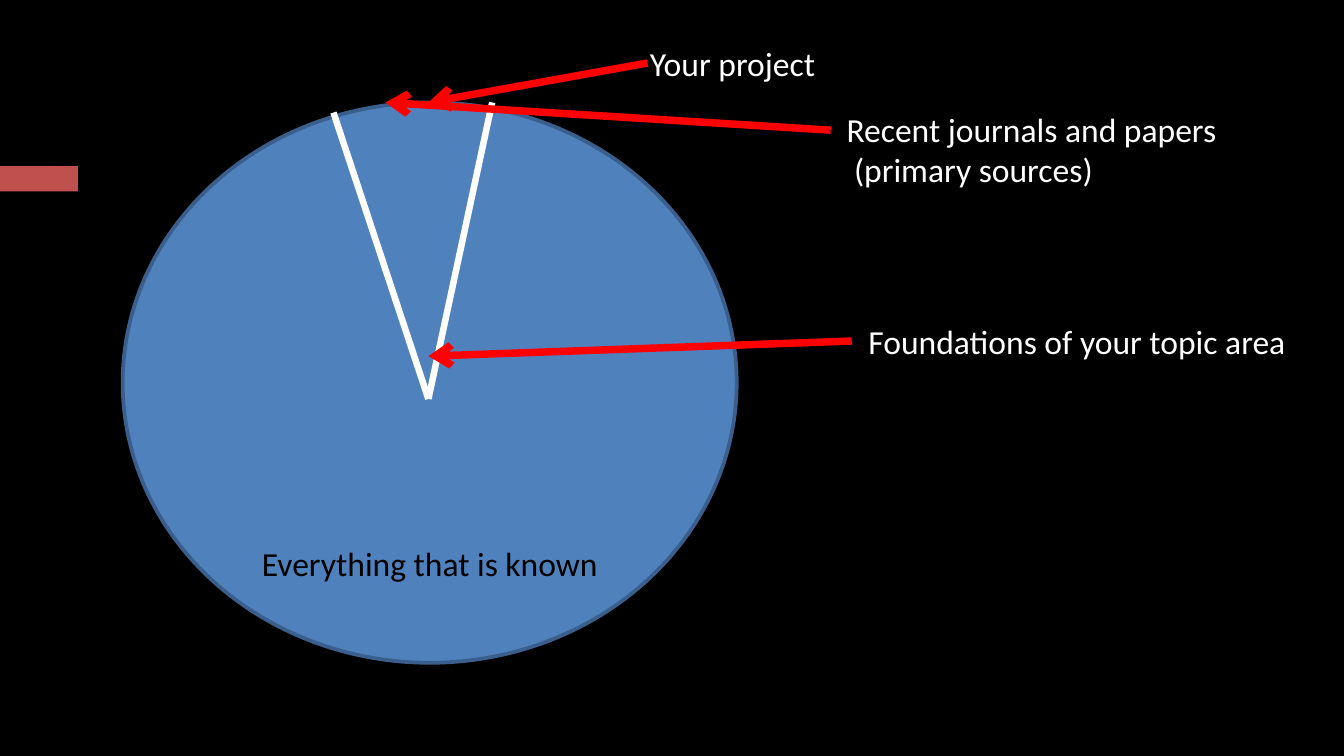
from typing import NamedTuple

from lxml.etree import SubElement
from pptx import Presentation
from pptx.dml.color import RGBColor
from pptx.enum.shapes import MSO_CONNECTOR as Link, MSO_SHAPE as Form
from pptx.oxml.ns import qn
from pptx.util import Emu, Pt

SCALE = 5715
HUB = (510, 475)
FONT = {"name": "Calibri", "size": Pt(18)}
WHITE, RED = "FFFFFF", "FF0000"


class Block(NamedTuple):
    form: int
    box: tuple[int, int, int, int]
    fill: str
    edge: str | None = None


class Label(NamedTuple):
    box: tuple[int, int, int, int]
    text: str
    color: str = WHITE
    wrap: bool = False


class Line(NamedTuple):
    start: tuple[int, int]
    end: tuple[int, int]
    color: str = RED
    width: float = 4
    arrow: bool = True


BLOCKS = [
    Block(Form.RECTANGLE, (0, 198, 93, 30), "C0504D"),
    Block(Form.OVAL, (146, 122, 731, 667), "4F81BD", "3A5F8C"),
]
SPOKES = [Line(HUB, end, WHITE, 3.5, False) for end in [(397, 134), (586, 122)]]
KNOWN = Label((296, 638, 579, 64), "Everything that is known", "000000", True)
NOTES = [
    (
        Label((1018, 374, 536, 64), "Foundations of your topic area"),
        Line((1014, 406), (510, 424)),
    ),
    (
        Label((992, 122, 474, 112), "Recent journals and papers\n (primary sources)"),
        Line((989, 155), (459, 122)),
    ),
    (
        Label((758, 43, 230, 64), "Your project"),
        Line((771, 75), (510, 122)),
    ),
]


def px(*sizes: int) -> list[Emu]:
    return [Emu(size * SCALE) for size in sizes]


def paint(fill, color: str) -> None:
    fill.solid()
    fill.fore_color.rgb = RGBColor.from_string(color)


def draw_block(slide, block: Block) -> None:
    shape = slide.shapes.add_shape(block.form, *px(*block.box))
    shape.shadow.inherit = False
    paint(shape.fill, block.fill)
    if block.edge:
        paint(shape.line.fill, block.edge)
        shape.line.width = Pt(2)
    else:
        shape.line.fill.background()


def draw_label(slide, label: Label) -> None:
    frame = slide.shapes.add_textbox(*px(*label.box)).text_frame
    frame.word_wrap = label.wrap
    frame.text = label.text
    for para in frame.paragraphs:
        for run in para.runs:
            for name, value in FONT.items():
                setattr(run.font, name, value)
            paint(run.font.fill, label.color)


def draw_line(slide, line: Line) -> None:
    link = slide.shapes.add_connector(Link.STRAIGHT, *px(*line.start, *line.end))
    paint(link.line.fill, line.color)
    link.line.width = Pt(line.width)
    props = link._element.spPr
    if line.arrow:
        SubElement(props.get_or_add_ln(), qn("a:tailEnd"), type="arrow")
    SubElement(props, qn("a:effectLst"))


def main() -> None:
    """Build the slide on the circle of knowledge and save it."""
    deck = Presentation()
    deck.slide_width, deck.slide_height = px(1600, 900)
    slide = deck.slides.add_slide(deck.slide_layouts[6])
    paint(slide.background.fill, "000000")
    for block in BLOCKS:
        draw_block(slide, block)
    for spoke in SPOKES:
        draw_line(slide, spoke)
    draw_label(slide, KNOWN)
    for label, arrow in NOTES:
        draw_label(slide, label)
        draw_line(slide, arrow)
    deck.save("out.pptx")


if __name__ == "__main__":
    main()
